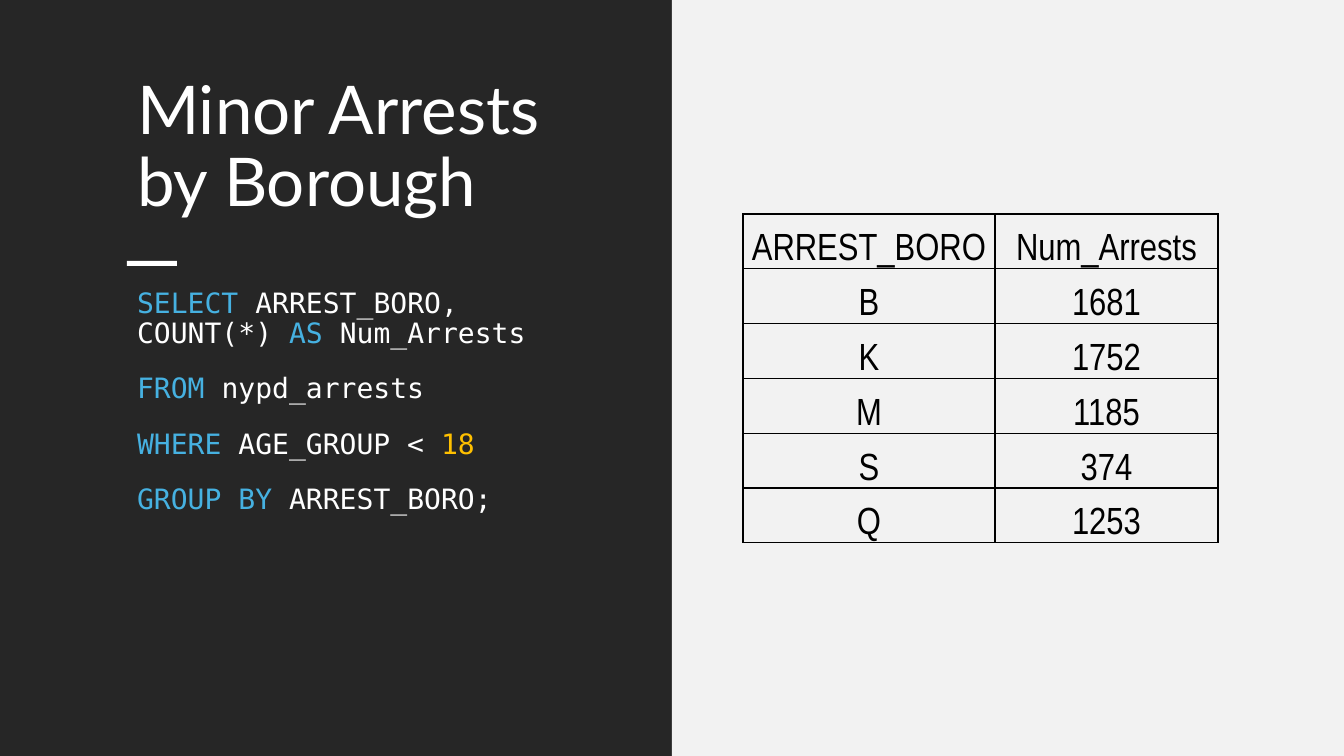
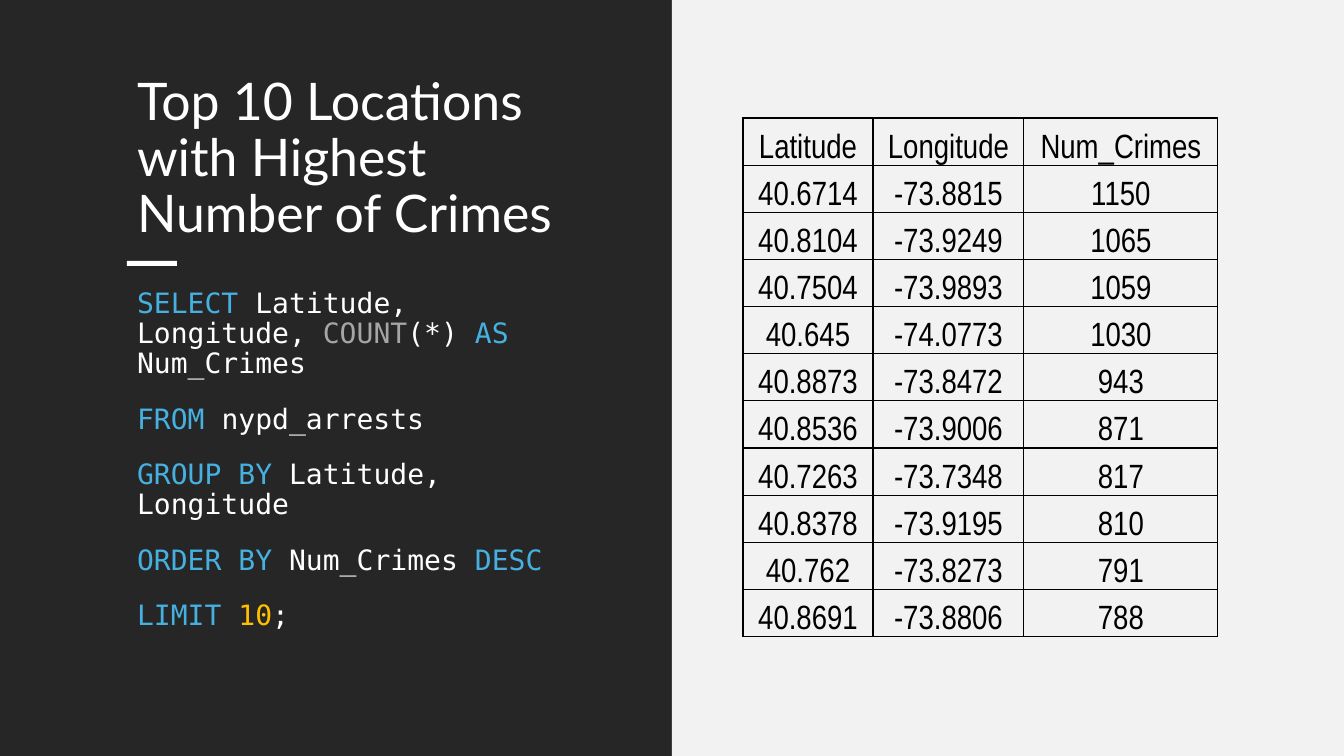
import pptx
import pptx.dml.color
import pptx.enum.shapes
import pptx.enum.text
import pptx.oxml
import pptx.oxml.ns
import pptx.util

WIDTH, HEIGHT = 1344, 756
SCALE = 12192000 / WIDTH

# Shared colours
DARK, LIGHT, WHITE, BLACK = "262626", "F2F2F2", "FFFFFF", "000000"
KEYWORD, NUMBER, FUNCTION = "46B1E1", "FFC000", "A6A6A6"

# Shared positions: left, top, width, height in px
DARK_PANEL = (0, 0, WIDTH // 2, HEIGHT)
LIGHT_PANEL = (WIDTH // 2, 0, WIDTH // 2, HEIGHT)
ACCENT_BAR = (127, 261, 50, 5)
TITLE_BOX = (127, 71, 475, 179)
QUERY_BOX = (127, 284, 473, 400)
TABLE_LEFT = 743

ANCHOR = pptx.enum.text.MSO_ANCHOR
ALIGN = pptx.enum.text.PP_ALIGN

# Shared formats
FRAME_FORMAT = {
    "word_wrap": True,
    "auto_size": pptx.enum.text.MSO_AUTO_SIZE.NONE,
    "vertical_anchor": ANCHOR.TOP,
}
TITLE_FORMAT = {"alignment": ALIGN.LEFT, "line_spacing": 0.9}
QUERY_FORMAT = {
    **TITLE_FORMAT,
    "space_before": pptx.util.Pt(10),
    "space_after": pptx.util.Pt(8),
}


def px(length):
    return pptx.util.Emu(round(length * SCALE))


def color(value):
    return pptx.dml.color.RGBColor.from_string(value)


def apply_format(target, values):
    for name, value in values.items():
        setattr(target, name, value)


def place(shape, box):
    names = ("left", "top", "width", "height")
    apply_format(shape, dict(zip(names, map(px, box))))


def add_span(para, text, font, size, hue):
    span = para.add_run()
    span.text = text
    apply_format(span.font, {"name": font, "size": pptx.util.Pt(size), "bold": False})
    span.font.color.rgb = color(hue)


def add_block(page, box, fill):
    block = page.shapes.add_shape(pptx.enum.shapes.MSO_SHAPE.RECTANGLE, *map(px, box))
    block.shadow.inherit = False
    block.fill.solid()
    block.fill.fore_color.rgb = color(fill)
    block.line.fill.background()
    return block


def add_title(page, text, size):
    frame = page.shapes.title.text_frame
    apply_format(frame, FRAME_FORMAT)
    para = frame.paragraphs[0]
    apply_format(para, TITLE_FORMAT)
    add_span(para, text, "Lato", size, WHITE)


def add_query(page, clauses):
    """Each clause is a list of (text, colour) pairs."""
    frame = page.placeholders[1].text_frame
    apply_format(frame, FRAME_FORMAT)
    for index, clause in enumerate(clauses):
        para = frame.add_paragraph() if index else frame.paragraphs[0]
        apply_format(para, QUERY_FORMAT)
        # No bullet and no hanging indent
        properties = para._p.get_or_add_pPr()
        properties.set("marL", "0")
        properties.set("indent", "0")
        pptx.oxml.ns.qn("a:buNone")
        properties.append(pptx.oxml.parse_xml(
            f'<a:buNone {pptx.oxml.ns.nsdecls("a")}/>'))
        for text, hue in clause:
            add_span(para, text, "DejaVu Sans Mono", 20, hue)


def add_borders(cell):
    properties = cell._tc.get_or_add_tcPr()
    for side in "LRTB":
        properties.append(pptx.oxml.parse_xml(
            f'<a:ln{side} {pptx.oxml.ns.nsdecls("a")} w="12700">'
            f'<a:solidFill><a:srgbClr val="{BLACK}"/></a:solidFill></a:ln{side}>'))


def add_result(page, top, height, widths, size, rows):
    table = page.shapes.add_table(
        len(rows), len(widths),
        *map(px, (TABLE_LEFT, top, sum(widths), height))).table
    apply_format(table, {"first_row": False, "horz_banding": False})
    for column, width in zip(table.columns, widths):
        column.width = px(width)
    cell_format = {
        "vertical_anchor": ANCHOR.BOTTOM,
        "margin_left": px(2), "margin_right": px(2),
        "margin_top": px(2), "margin_bottom": 0,
    }
    for row, values in zip(table.rows, rows):
        row.height = px(height / len(rows))
        for cell, value in zip(row.cells, values):
            apply_format(cell, cell_format)
            add_borders(cell)
            cell.fill.background()
            para = cell.text_frame.paragraphs[0]
            para.alignment = ALIGN.CENTER
            add_span(para, value, "Arial Narrow", size, BLACK)


def add_page(deck, title, title_size, clauses, result):
    page = deck.slides.add_slide(deck.slide_layouts[1])
    place(page.shapes.title, TITLE_BOX)
    place(page.placeholders[1], QUERY_BOX)
    # The dark panel goes behind the placeholders
    panel = add_block(page, DARK_PANEL, DARK)
    page.shapes.element.insert(2, panel.element)
    add_title(page, title, title_size)
    add_block(page, ACCENT_BAR, WHITE)
    add_query(page, clauses)
    add_block(page, LIGHT_PANEL, LIGHT)
    add_result(page, **result)


def main():
    deck = pptx.Presentation()
    apply_format(deck, {"slide_width": px(WIDTH), "slide_height": px(HEIGHT)})
    from_clause = [("FROM ", KEYWORD), ("nypd_arrests", WHITE)]

    # Minor arrests
    add_page(
        deck, "Minor Arrests by Borough", 48,
        [
            [("SELECT", KEYWORD), (" ARREST_BORO, COUNT(*) ", WHITE),
             ("AS ", KEYWORD), ("Num_Arrests", WHITE)],
            from_clause,
            [("WHERE", KEYWORD), (" AGE_GROUP < ", WHITE), ("18", NUMBER)],
            [("GROUP BY ", KEYWORD), ("ARREST_BORO;", WHITE)],
        ],
        {"top": 214, "height": 329, "widths": (252, 223), "size": 27, "rows": [
            ("ARREST_BORO", "Num_Arrests"),
            ("B", "1681"),
            ("K", "1752"),
            ("M", "1185"),
            ("S", "374"),
            ("Q", "1253"),
        ]})

    # Top locations
    add_page(
        deck, "Top 10 Locations with Highest Number of Crimes", 37,
        [
            [("SELECT", KEYWORD), (" Latitude, Longitude, ", WHITE),
             ("COUNT", FUNCTION), ("(*) ", WHITE),
             ("AS ", KEYWORD), ("Num_Crimes", WHITE)],
            from_clause,
            [("GROUP BY ", KEYWORD), ("Latitude, Longitude", WHITE)],
            [("ORDER BY ", KEYWORD), ("Num_Crimes ", WHITE), ("DESC", KEYWORD)],
            [("LIMIT ", KEYWORD), ("10", NUMBER), (";", WHITE)],
        ],
        {"top": 118, "height": 519, "widths": (130, 151, 194), "size": 24, "rows": [
            ("Latitude", "Longitude", "Num_Crimes"),
            ("40.6714", "-73.8815", "1150"),
            ("40.8104", "-73.9249", "1065"),
            ("40.7504", "-73.9893", "1059"),
            ("40.645", "-74.0773", "1030"),
            ("40.8873", "-73.8472", "943"),
            ("40.8536", "-73.9006", "871"),
            ("40.7263", "-73.7348", "817"),
            ("40.8378", "-73.9195", "810"),
            ("40.762", "-73.8273", "791"),
            ("40.8691", "-73.8806", "788"),
        ]})

    deck.save("out.pptx")


if __name__ == "__main__":
    main()
